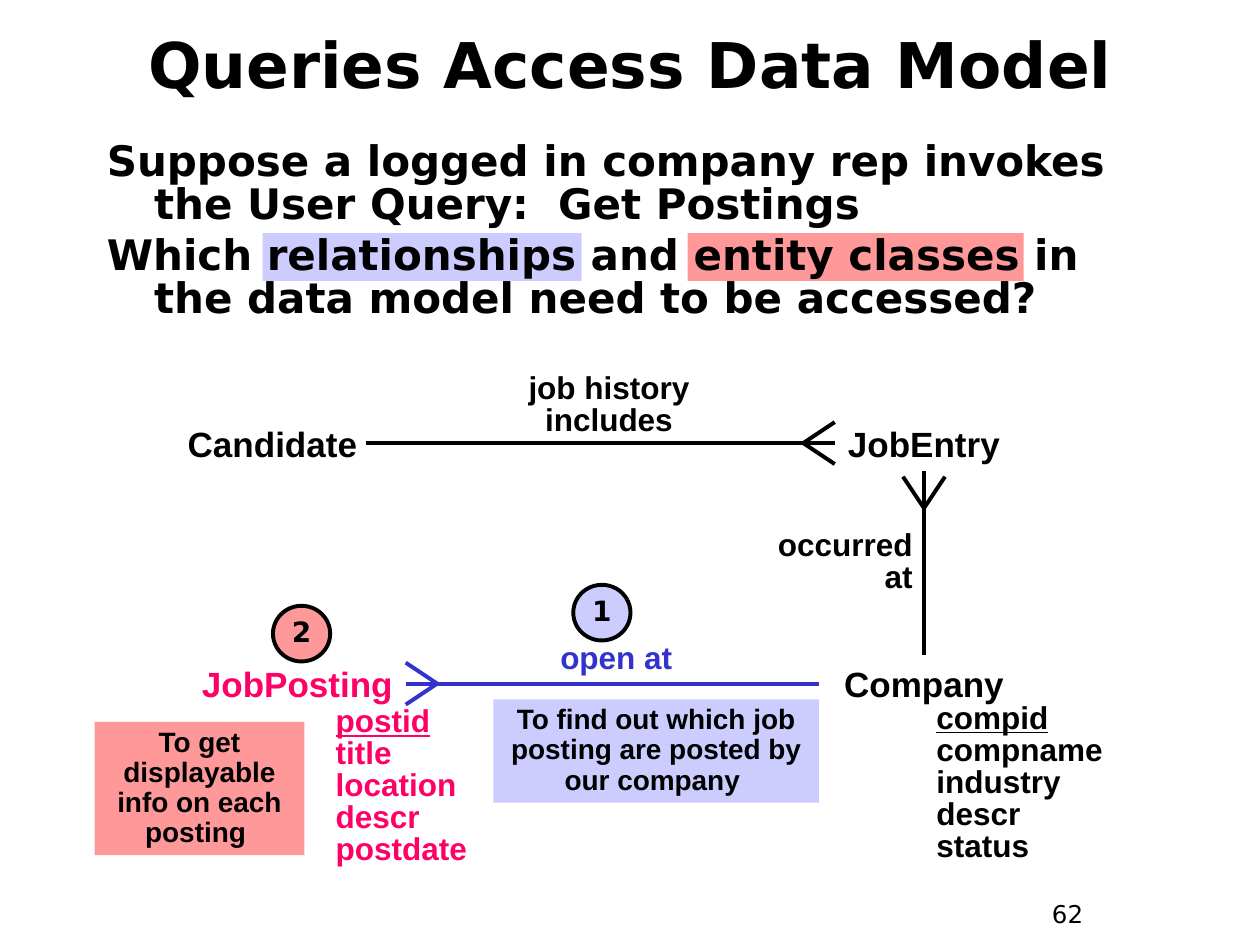
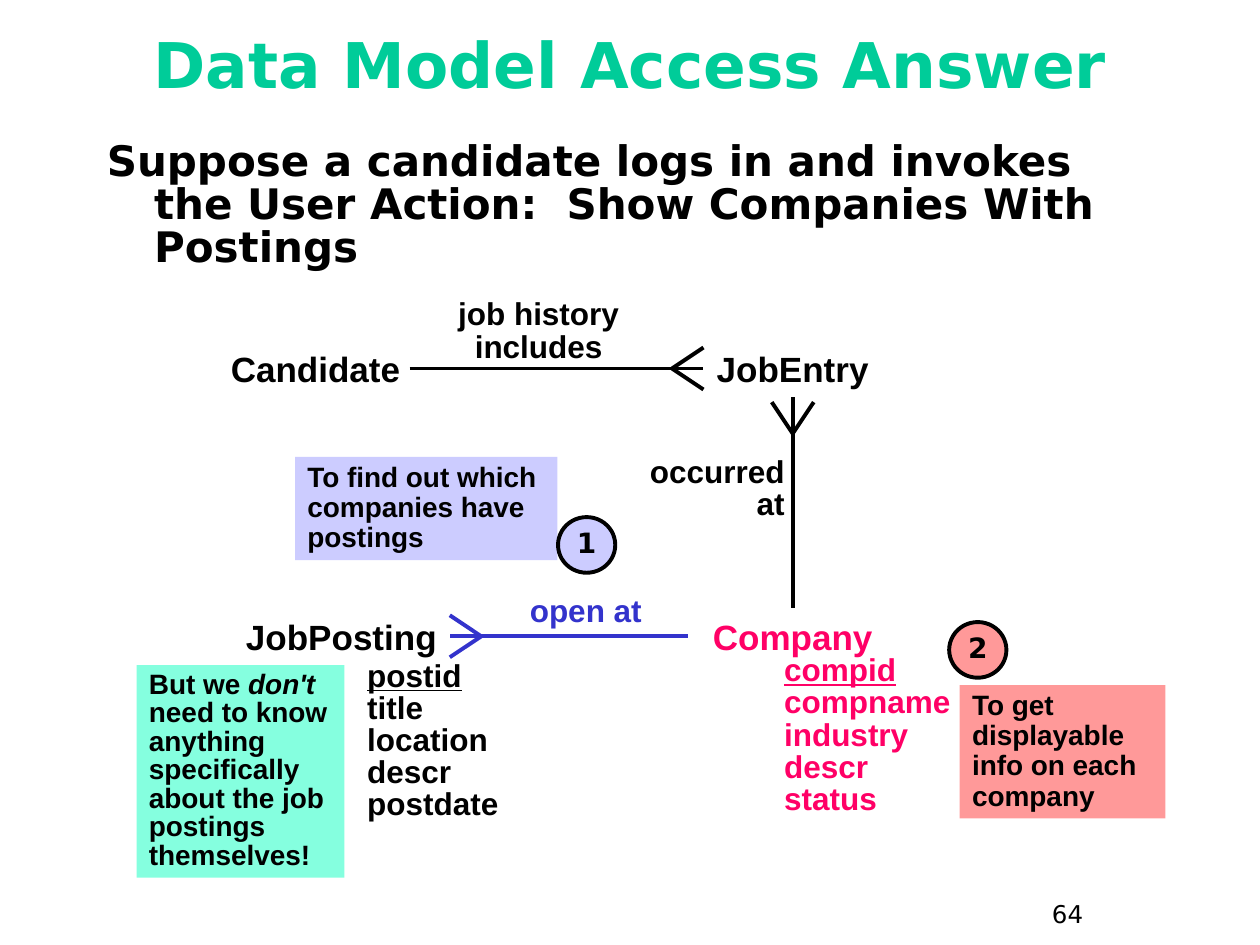
from dataclasses import dataclass, replace
from typing import NamedTuple, Optional

from lxml.etree import SubElement
from pptx import Presentation
from pptx.dml.color import RGBColor
from pptx.enum.shapes import MSO_CONNECTOR as Connector, MSO_SHAPE as Preset
from pptx.enum.text import MSO_ANCHOR as Anchor, PP_ALIGN as Align
from pptx.oxml.ns import qn
from pptx.util import Emu, Inches, Pt

COLUMNS, ROWS = 120, 90
CELL = Inches(10) / COLUMNS


@dataclass(frozen=True)
class Theme:
    """Colours, fonts, type sizes and line weight of the deck."""
    ink: str = "000000"
    paper: str = "FFFFFF"
    answer: str = "00CC99"
    relation: str = "3333CC"
    accessed: str = "FF0066"
    lilac: str = "CCCCFF"
    salmon: str = "FF9999"
    mint: str = "85FFDF"
    display: str = "DejaVu Sans"
    plain: str = "Arial"
    title_size: int = 36
    body_size: int = 24
    entity_size: int = 20
    label_size: int = 18
    note_size: int = 16
    page_size: int = 14
    line_width: float = 2.25


THEME = Theme()


@dataclass(frozen=True)
class TextStyle:
    """How a block of text is set."""
    font: str
    size: int
    color: str = THEME.ink
    bold: bool = True
    align: Align = Align.LEFT
    anchor: Anchor = Anchor.TOP
    line_spacing: float = 1.0
    before: float = 0
    hanging: float = 0
    wrap: bool = True


TITLE = TextStyle(THEME.display, THEME.title_size, align=Align.CENTER, anchor=Anchor.MIDDLE)
BODY = TextStyle(THEME.display, THEME.body_size, line_spacing=0.85, before=4.5, hanging=4.5)
PAGE = TextStyle(THEME.display, THEME.page_size, bold=False, before=8.8)
ENTITY = TextStyle(THEME.plain, THEME.entity_size, align=Align.CENTER,
                   anchor=Anchor.MIDDLE, before=12.5, wrap=False)
LABEL = TextStyle(THEME.plain, THEME.label_size, align=Align.CENTER,
                  line_spacing=0.85, before=11.2)
ATTRIBUTES = TextStyle(THEME.plain, THEME.label_size, line_spacing=0.85)
NOTE = TextStyle(THEME.plain, THEME.note_size, line_spacing=0.9, before=10)
BADGE = TextStyle(THEME.display, THEME.note_size, align=Align.CENTER,
                  anchor=Anchor.MIDDLE, line_spacing=0.9, wrap=False)


class Point(NamedTuple):
    """A place on the grid, in columns and rows."""
    column: float
    row: float


class Box(NamedTuple):
    """A rectangle on the grid, in columns and rows."""
    left: float
    top: float
    width: float
    height: float

    @property
    def right(self) -> float:
        """Give the column of the right edge."""
        return self.left + self.width

    @property
    def bottom(self) -> float:
        """Give the row of the bottom edge."""
        return self.top + self.height

    @property
    def center(self) -> Point:
        """Give the middle of the box."""
        return Point(self.left + self.width / 2, self.top + self.height / 2)


class Run(NamedTuple):
    """A stretch of text in one style."""
    text: str
    underline: bool = False
    italic: bool = False


Paragraphs = list[list[Run]]


class Note(NamedTuple):
    """A coloured remark on one step."""
    box: Box
    fill: str
    runs: list[Run]
    style: TextStyle = NOTE


class Badge(NamedTuple):
    """A numbered circle for one step."""
    place: Point
    fill: str
    number: str


class DataModel(NamedTuple):
    """Where the parts of the data model stand and what is accessed."""
    candidate: Point
    job_entry: Point
    job_posting: Point
    company: Point
    history_label: Point
    occurred_label: Point
    open_label: Point
    posting_attributes: Box
    company_attributes: Box
    accessed: str


class Page(NamedTuple):
    """All that one slide shows."""
    number: str
    title: str
    title_color: str
    body: list[str]
    body_rows: float
    highlights: list[tuple[Box, str]]
    model: DataModel
    notes: list[Note]
    badges: list[Badge]


def cells(*values: float) -> list[Emu]:
    """Turn grid units into lengths."""
    return [Emu(round(value * CELL)) for value in values]


def write(shape, paragraphs: Paragraphs, style: TextStyle) -> None:
    """Set paragraphs of runs into a shape."""
    frame = shape.text_frame
    frame.word_wrap = style.wrap
    frame.vertical_anchor = style.anchor
    for index, runs in enumerate(paragraphs):
        paragraph = frame.add_paragraph() if index else frame.paragraphs[0]
        paragraph.alignment = style.align
        paragraph.line_spacing = style.line_spacing
        paragraph.space_before = Pt(style.before)
        if style.hanging:
            hanging = cells(style.hanging)[0]
            properties = paragraph._p.get_or_add_pPr()
            properties.set("marL", str(hanging))
            properties.set("indent", str(-hanging))
        for source in runs:
            for position, line in enumerate(source.text.split("\n")):
                if position:
                    paragraph.add_line_break()
                run = paragraph.add_run()
                run.text = line
                run.font.name, run.font.size = style.font, Pt(style.size)
                run.font.bold, run.font.italic = style.bold, source.italic
                run.font.underline = source.underline
                run.font.color.rgb = RGBColor.from_string(style.color)


def add_text(slide, box: Box, paragraphs: Paragraphs, style: TextStyle) -> None:
    """Place a text box."""
    write(slide.shapes.add_textbox(*cells(*box)), paragraphs, style)


def add_panel(slide, box: Box, fill: str, preset: Preset = Preset.RECTANGLE,
              outline: Optional[str] = None):
    """Place a filled shape, outlined if a colour is given."""
    shape = slide.shapes.add_shape(preset, *cells(*box))
    shape.shadow.inherit = False
    shape.fill.solid()
    shape.fill.fore_color.rgb = RGBColor.from_string(fill)
    if outline:
        shape.line.color.rgb = RGBColor.from_string(outline)
        shape.line.width = Pt(THEME.line_width)
    else:
        shape.line.fill.background()
    return shape


def add_line(slide, start: Point, end: Point, color: str) -> None:
    """Draw a straight line."""
    line = slide.shapes.add_connector(Connector.STRAIGHT, *cells(*start, *end))
    line.line.color.rgb = RGBColor.from_string(color)
    line.line.width = Pt(THEME.line_width)
    SubElement(line._element.spPr, qn("a:effectLst"))


def add_relationship(slide, many: Point, one: Point, color: str = THEME.ink,
                     gap: float = 0) -> None:
    """Draw a line with a crow's foot at its many end."""
    add_line(slide, one, many, color)
    depth, spread = 3, 2
    across = many.row == one.row
    direction = 1 if sum(one) > sum(many) else -1
    for side in (-spread, spread):
        if across:
            base = many.column + direction * gap
            apex, toe = Point(base + direction * depth, many.row), Point(base, many.row + side)
        else:
            base = many.row + direction * gap
            apex, toe = Point(many.column, base + direction * depth), Point(many.column + side, base)
        add_line(slide, apex, toe, color)


def add_attributes(slide, box: Box, names: list[str], color: str) -> None:
    """List attributes with the key underlined."""
    paragraphs = [[Run(name, underline=not index)] for index, name in enumerate(names)]
    add_text(slide, box, paragraphs, replace(ATTRIBUTES, color=color))


def add_data_model(slide, model: DataModel) -> None:
    """Draw entities, relationships, labels and attributes."""
    candidate = Box(*model.candidate, 17.9, 5.4)
    job_entry = Box(*model.job_entry, 17, 5.4)
    job_posting = Box(*model.job_posting, 20.64, 6.72)
    company = Box(*model.company, 20, 5.4)
    entities = {"Candidate": candidate, "JobPosting": job_posting,
                "JobEntry": job_entry, "Company": company}
    colors = {name: THEME.accessed if name == model.accessed else THEME.ink for name in entities}
    for name, box in entities.items():
        write(add_panel(slide, box, THEME.paper), [[Run(name)]],
              replace(ENTITY, color=colors[name]))

    history_row, open_row = candidate.center.row, job_posting.center.row
    occurred_column = company.center.column
    add_relationship(slide, Point(job_entry.left, history_row),
                     Point(candidate.right, history_row))
    add_relationship(slide, Point(occurred_column, job_entry.bottom),
                     Point(occurred_column, company.top), gap=0.5)
    add_relationship(slide, Point(job_posting.right, open_row),
                     Point(company.left, open_row), THEME.relation)

    labels = [
        (Box(*model.history_label, 28, 7.3), "job history includes", LABEL),
        (Box(*model.occurred_label, 17.9, 7.3), "occurred\nat", replace(LABEL, align=Align.RIGHT)),
        (Box(*model.open_label, 20.6, 4.3), "open at", replace(LABEL, color=THEME.relation)),
    ]
    for box, text, style in labels:
        add_text(slide, box, [[Run(text)]], style)
    add_attributes(slide, model.posting_attributes,
                   ["postid", "title", "location", "descr", "postdate"], colors["JobPosting"])
    add_attributes(slide, model.company_attributes,
                   ["compid", "compname\nindustry", "descr", "status"], colors["Company"])


def add_page(presentation, page: Page) -> None:
    """Build one slide."""
    slide = presentation.slides.add_slide(presentation.slide_layouts[6])
    add_text(slide, Box(99, 85, 9, 4.4), [[Run(page.number)]], PAGE)
    for box, fill in page.highlights:
        add_panel(slide, box, fill)
    add_text(slide, Box(4, 1, 112, 10), [[Run(page.title)]],
             replace(TITLE, color=page.title_color))
    add_text(slide, Box(9, 13, 102, page.body_rows), [[Run(text)] for text in page.body], BODY)
    add_data_model(slide, page.model)
    for note in page.notes:
        write(add_panel(slide, note.box, note.fill), [note.runs], note.style)
    for badge in page.badges:
        circle = add_panel(slide, Box(*badge.place, 5.45, 5.3), badge.fill,
                           Preset.OVAL, THEME.ink)
        write(circle, [[Run(badge.number)]], BADGE)


CENTERED_NOTE = replace(NOTE, align=Align.CENTER)
PAGES = [
    Page("62", "Queries Access Data Model", THEME.ink,
         ["Suppose a logged in company rep invokes\nthe User Query:  Get Postings",
          "Which relationships and entity classes in the data model need to be accessed?"], 67,
         [(Box(65.5, 22.2, 32, 4.56), THEME.salmon), (Box(25, 22.2, 30.4, 4.56), THEME.lilac)],
         DataModel(Point(17, 39.5), Point(79.5, 39.5), Point(18, 61.75), Point(78, 62.4),
                   Point(44, 35), Point(70.2, 50), Point(48.4, 60.75),
                   Box(30.8, 66.7, 17.5, 16.6), Box(88, 66.4, 20, 16.6), "JobPosting"),
         [Note(Box(47, 66.6, 31, 9.85), THEME.lilac,
               [Run("To find out which job posting are posted by our company ")], CENTERED_NOTE),
          Note(Box(9, 68.75, 20, 12.7), THEME.salmon,
               [Run("To get displayable info on each posting ")], CENTERED_NOTE)],
         [Badge(Point(54.6, 55.7), THEME.lilac, "1"),
          Badge(Point(26, 57.7), THEME.salmon, "2")]),
    Page("64", "Data Model Access Answer", THEME.answer,
         ["Suppose a candidate logs in and invokes\n"
          "the User Action:  Show Companies With Postings"], 16, [],
         DataModel(Point(21.1, 32.4), Point(67, 32.4), Point(22.2, 57.24), Point(65.5, 57.9),
                   Point(37.3, 28), Point(58, 43), Point(45.5, 56.25),
                   Box(33.8, 62.4, 20.6, 16.6), Box(73.5, 61.9, 19.4, 16.6), "Company"),
         [Note(Box(28.1, 43.5, 25, 9.85), THEME.lilac,
               [Run("To find out which companies have postings")]),
          Note(Box(91.4, 65.25, 19.6, 12.7), THEME.salmon,
               [Run("To get displayable info on each company")]),
          Note(Box(13, 63.35, 19.8, 20.25), THEME.mint,
               [Run("But we "), Run("don't", italic=True),
                Run(" need to know anything specifically about the job postings themselves!")],
               replace(NOTE, line_spacing=0.85))],
         [Badge(Point(53.15, 49.25), THEME.lilac, "1"),
          Badge(Point(90.4, 59.25), THEME.salmon, "2")]),
]


def main() -> None:
    """Build and save the deck."""
    presentation = Presentation()
    presentation.slide_width, presentation.slide_height = cells(COLUMNS, ROWS)
    for page in PAGES:
        add_page(presentation, page)
    presentation.save("out.pptx")


if __name__ == "__main__":
    main()
